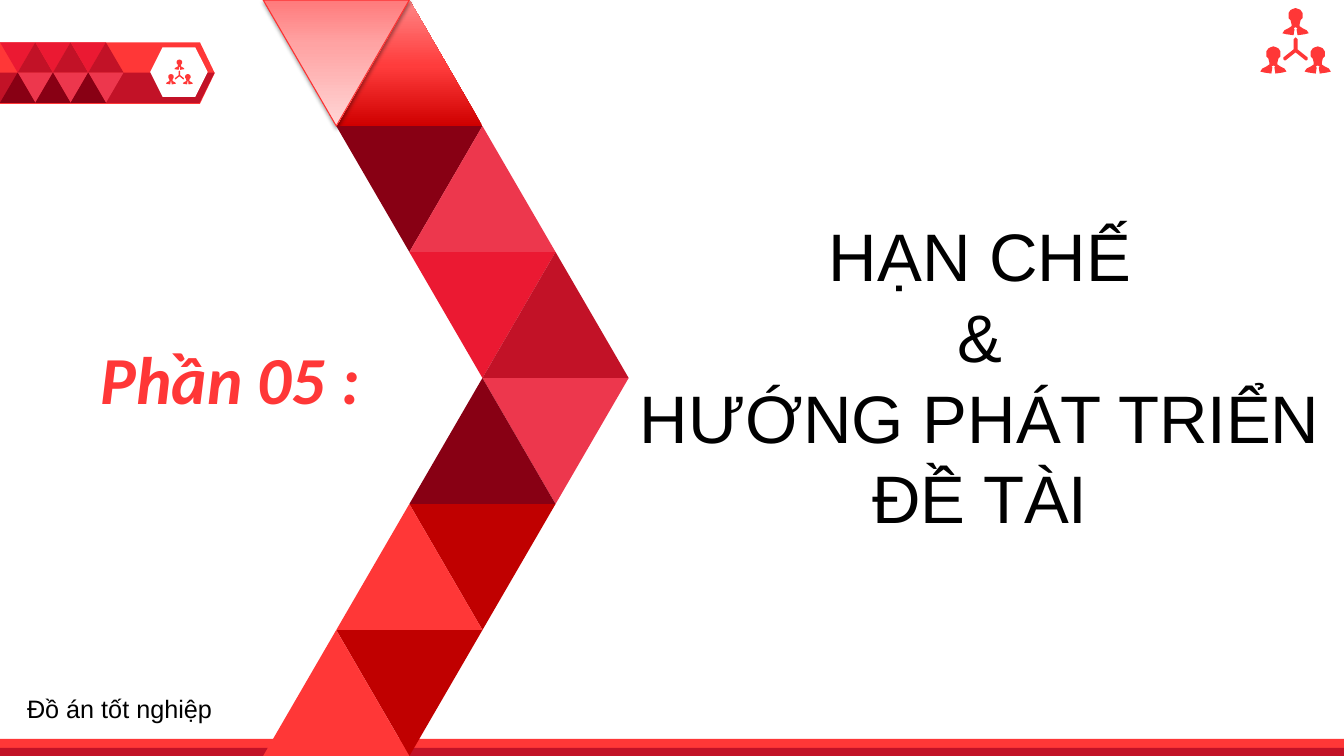
from dataclasses import dataclass

from lxml.etree import SubElement
from pptx import Presentation
from pptx.dml.color import RGBColor
from pptx.enum.shapes import MSO_SHAPE as Preset
from pptx.enum.text import MSO_AUTO_SIZE as AutoSize, PP_ALIGN as Align
from pptx.oxml import parse_xml
from pptx.oxml.ns import nsdecls, qn
from pptx.shapes.autoshape import Shape
from pptx.util import Inches, Pt

SCARLET, CRIMSON, RED, ROSE = "FF3737", "C21227", "EB1932", "ED374D"
MAROON, DARK_RED, WHITE, BLACK = "880014", "C00000", "FFFFFF", "000000"
GLOSSY_RED = ((0, "CF0000"), (48, "FF3C3C"), (100, "FF8787"))
GLOSSY_PINK = ((0, "FF7A7B"), (35, "FFA3A3"), (100, "FFD6D6"))

# Right halves of symmetric outlines, from the top of the axis to the bottom
PERSON_HALF = [(0, 0), (0.03, 0.01), (0.05, 0.02), (0.07, 0.05), (0.07, 0.08),
               (0.07, 0.1), (0.05, 0.12), (0.04, 0.16), (0.04, 0.18),
               (0.07, 0.2), (0.11, 0.22), (0.13, 0.25), (0.09, 0.26),
               (0.02, 0.27), (0.01, 0.21), (0.02, 0.2), (0, 0.19)]
LINK_HALF = [(0, 0), (0.02, 0.02), (0.02, 0.12), (0.12, 0.2), (0.12, 0.22),
             (0.11, 0.23), (0.1, 0.23), (0, 0.15)]
# Outline and offset of each part of the team icon
TEAM_PARTS = [(PERSON_HALF, 0, 0), (PERSON_HALF, -0.22, 0.38),
              (PERSON_HALF, 0.22, 0.38), (LINK_HALF, 0, 0.29)]


@dataclass
class Lattice:
    """Triangle grid; each column moves half a triangle to the right."""
    left: float
    top: float
    half_width: float
    height: float


@dataclass
class Tile:
    """One triangle of a lattice."""
    column: int
    row: int
    points_up: bool
    fill: str


@dataclass
class Label:
    """A text box with one paragraph per line."""
    left: float
    top: float
    width: float
    height: float
    lines: list[str]
    font: str
    size: int
    color: str = BLACK
    emphasis: bool = False
    align: Align = Align.LEFT


CHEVRON = Lattice(2.61, 0, 0.725, 1.25)
CHEVRON_TILES = [
    Tile(1, 1, False, MAROON), Tile(2, 1, True, ROSE),
    Tile(2, 2, False, RED), Tile(3, 2, True, CRIMSON),
    Tile(3, 3, False, ROSE), Tile(2, 3, True, MAROON),
    Tile(2, 4, False, DARK_RED), Tile(1, 4, True, SCARLET),
    Tile(1, 5, False, DARK_RED), Tile(0, 5, True, SCARLET),
]
BANNER = Lattice(0, 0.42, 0.175, 0.3)
BANNER_TILES = [tile for first in (0, 2, 4) for tile in (
    Tile(first, 0, False, RED), Tile(first + 1, 0, True, CRIMSON),
    Tile(first + 1, 1, False, ROSE), Tile(first, 1, True, MAROON))]
LABELS = [
    Label(0.9, 3.3, 4.12, 0.9, ["Phần 05 :"], "Calibri", 48, SCARLET, True),
    Label(6.22, 2.08, 7, 3.33, ["HẠN CHẾ", "&", "HƯỚNG PHÁT TRIỂN", "ĐỀ TÀI"],
          "Arial", 48, align=Align.CENTER),
    Label(0.17, 6.83, 2.83, 0.4, ["Đồ án tốt nghiệp"], "Arial", 18),
]

deck = Presentation()
deck.slide_width, deck.slide_height = Inches(13.33), Inches(7.5)
shapes = deck.slides.add_slide(deck.slide_layouts[6]).shapes


def rgb(color: str) -> RGBColor:
    """Turn a hex string into a colour."""
    return RGBColor.from_string(color)


def paint(shape: Shape, fill: str) -> Shape:
    """Give a shape a flat fill without line or shadow."""
    shape.shadow.inherit = False
    shape.fill.solid()
    shape.fill.fore_color.rgb = rgb(fill)
    shape.line.fill.background()
    return shape


def add_preset(kind: Preset, left: float, top: float, width: float,
               height: float, fill: str) -> Shape:
    """Add a flat preset shape."""
    return paint(shapes.add_shape(kind, Inches(left), Inches(top),
                                  Inches(width), Inches(height)), fill)


def add_outline(contours: list[list[tuple[float, float]]], fill: str) -> Shape:
    """Add one freeform made of closed contours in inches."""
    scaled = [[(Inches(x), Inches(y)) for x, y in points] for points in contours]
    builder = shapes.build_freeform(*scaled[0][0])
    for points in scaled:
        builder.move_to(*points[0])
        builder.add_line_segments(points[1:], close=True)
    return paint(builder.convert_to_shape(), fill)


def add_team(center: float, top: float, scale: float) -> None:
    """Add the icon of three linked people."""
    contours = []
    for half, dx, dy in TEAM_PARTS:
        mirrored = [(-x, y) for x, y in half[-2:0:-1]]
        contours.append([(center + scale * (x + dx), top + scale * (y + dy))
                         for x, y in half + mirrored])
    add_outline(contours, SCARLET)


def add_tile(lattice: Lattice, tile: Tile) -> Shape:
    """Add a triangle at its place in a lattice."""
    triangle = add_preset(Preset.ISOSCELES_TRIANGLE,
                          lattice.left + tile.column * lattice.half_width,
                          lattice.top + tile.row * lattice.height,
                          2 * lattice.half_width, lattice.height, tile.fill)
    triangle.rotation = 0 if tile.points_up else 180
    return triangle


def add_gloss(shape: Shape, stops: tuple[tuple[int, str], ...]) -> None:
    """Fill a shape with a gradient that starts at its base."""
    shape.fill.gradient()
    shape.fill.gradient_angle = 90
    stop_list = shape._element.spPr.find(qn("a:gradFill")).find(qn("a:gsLst"))
    for old_stop in list(stop_list):
        stop_list.remove(old_stop)
    for position, color in stops:
        stop = SubElement(stop_list, qn("a:gs"), pos=str(position * 1000))
        SubElement(stop, qn("a:srgbClr"), val=color)


def add_shadow(shape: Shape) -> None:
    """Drop a soft shadow below a shape."""
    effects = shape._element.spPr.find(qn("a:effectLst"))
    effects.append(parse_xml(
        f'<a:outerShdw {nsdecls("a")} blurRad="{Pt(3.1)}" dist="{Pt(1.6)}" '
        'dir="5400000" rotWithShape="0"><a:srgbClr val="000000">'
        '<a:alpha val="38000"/></a:srgbClr></a:outerShdw>'))


def add_label(label: Label) -> None:
    """Add a text box."""
    frame = shapes.add_textbox(Inches(label.left), Inches(label.top),
                               Inches(label.width), Inches(label.height)).text_frame
    frame.word_wrap = True
    frame.auto_size = AutoSize.NONE
    frame.text = "\n".join(label.lines)
    for paragraph in frame.paragraphs:
        paragraph.alignment = label.align
        font = paragraph.font
        font.name, font.size = label.font, Pt(label.size)
        font.bold = font.italic = label.emphasis
        font.color.rgb = rgb(label.color)


# Banner with the small icon
banner = add_preset(Preset.PENTAGON, 0, 0.42, 2.13, 0.61, SCARLET)
banner.adjustments[0] = 0.24
add_outline([[(0, 0.72), (2.13, 0.72), (1.98, 1.02), (0, 1.02)]], CRIMSON)
add_preset(Preset.HEXAGON, 1.49, 0.47, 0.57, 0.49, WHITE)
add_team(1.78, 0.59, 0.38)
for banner_tile in BANNER_TILES:
    add_tile(BANNER, banner_tile)

# Footer stripes
add_preset(Preset.RECTANGLE, 0, 7.33, 13.33, 0.16, SCARLET)
add_preset(Preset.RECTANGLE, 0, 7.42, 13.33, 0.08, CRIMSON)

# Chevron, with two glossy triangles at its top
add_gloss(add_tile(CHEVRON, Tile(1, 0, True, SCARLET)), GLOSSY_RED)
pink_tile = add_tile(CHEVRON, Tile(0, 0, False, SCARLET))
add_gloss(pink_tile, GLOSSY_PINK)
pink_tile.line.color.rgb = rgb("FD3030")
pink_tile.line.width = Pt(0.75)
add_shadow(pink_tile)
for chevron_tile in CHEVRON_TILES:
    add_tile(CHEVRON, chevron_tile)

add_team(12.85, 0.08, 1)
for text_label in LABELS:
    add_label(text_label)

deck.save("out.pptx")
